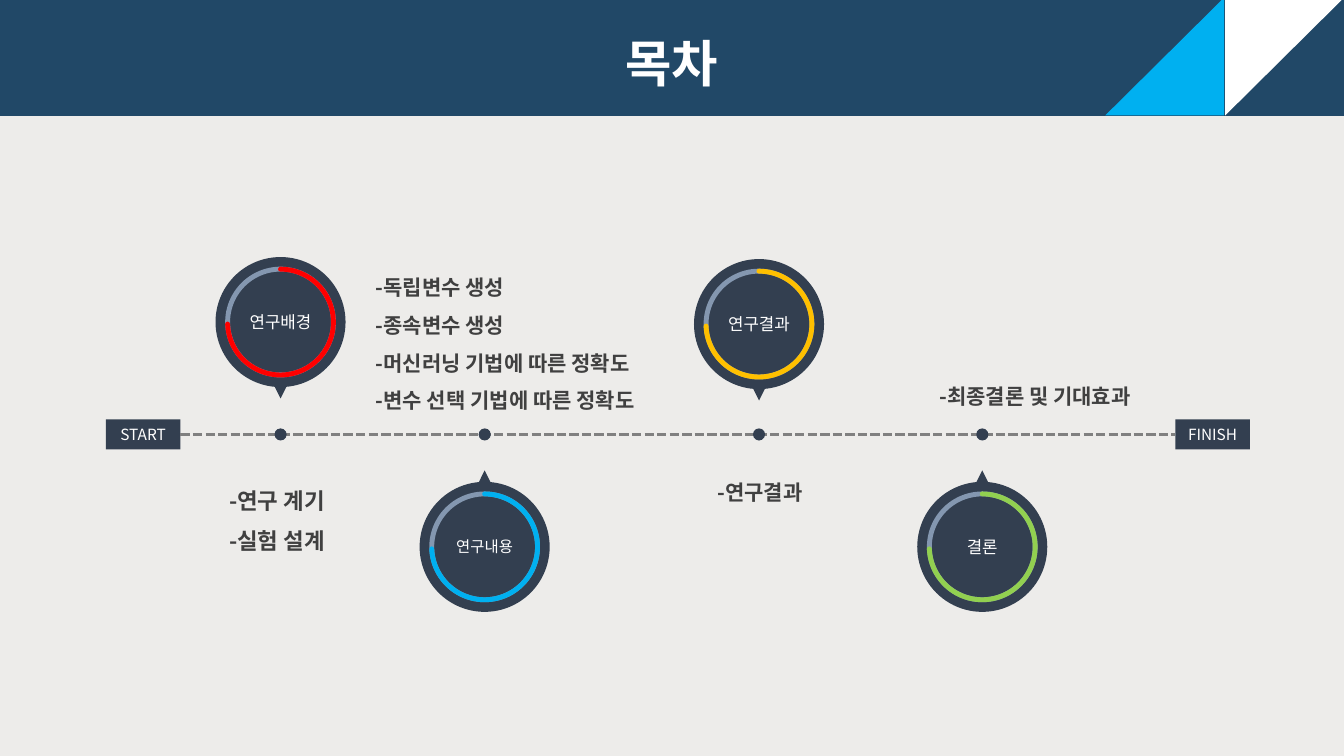
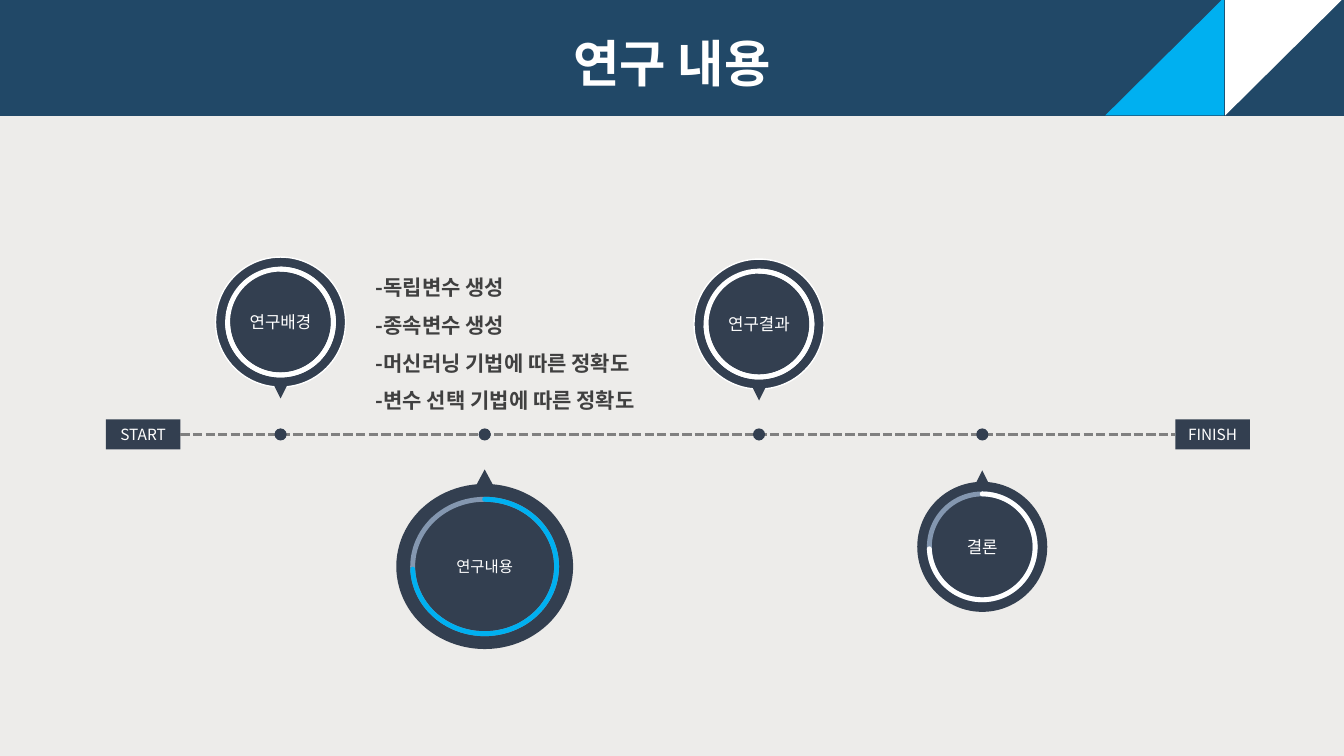
from dataclasses import dataclass

from lxml.etree import SubElement
from pptx import Presentation
from pptx.dml.color import RGBColor
from pptx.enum.dml import MSO_LINE
from pptx.enum.shapes import MSO_CONNECTOR, MSO_SHAPE
from pptx.enum.text import MSO_ANCHOR, MSO_AUTO_SIZE, PP_ALIGN
from pptx.oxml.ns import qn
from pptx.util import Inches, Pt


@dataclass(frozen=True)
class Theme:
    font: str = "Noto Sans CJK KR"
    page: str = "EDECEA"
    band: str = "214867"
    navy: str = "333F50"
    track: str = "8497B0"
    axis: str = "808080"
    ink: str = "404040"
    white: str = "FFFFFF"
    red: str = "FF0000"
    amber: str = "FFC000"
    blue: str = "00B0F0"
    green: str = "92D050"
    title: int = 36
    large: int = 16
    body: int = 15
    label: int = 12
    small: int = 11
    ring: float = 3.5


T = Theme()
prs = Presentation()
prs.slide_width, prs.slide_height = Inches(13.33), Inches(7.5)
COL, ROW = prs.slide_width / 160, prs.slide_height / 90


def draw(shapes, kind, x, y, w, h, fill=None, line=None, weight=1):
    sp = shapes.add_shape(kind, round(x * COL), round(y * ROW), round(w * COL), round(h * ROW))
    sp.shadow.inherit = False
    if fill:
        sp.fill.solid()
        sp.fill.fore_color.rgb = RGBColor.from_string(fill)
    else:
        sp.fill.background()
    if line:
        sp.line.color.rgb = RGBColor.from_string(line)
        sp.line.width = Pt(weight)
    else:
        sp.line.fill.background()
    return sp


def write(tf, text, size, color, bold=False, align=PP_ALIGN.CENTER, spacing=None):
    tf.text = text
    tf.word_wrap = True
    for p in tf.paragraphs:
        p.alignment = align
        p.line_spacing = spacing
        for r in p.runs:
            r.font.size = Pt(size)
            r.font.bold = bold
            r.font.name = T.font
            r.font.color.rgb = RGBColor.from_string(color)
            SubElement(r.font._element, qn("a:ea")).set("typeface", T.font)


AXIS_Y, TAG_W, TAG_H, DOT = 51.72, 8.88, 3.6, 1.44
BAND_Y, BAND_H, CORNER_W = -0.36, 14.16, 14.04
DISC, RING, TIP, TIP_OFFSET = 15.48, 12.6, 4.2, 7
UP, DOWN = -1, 1

stations = [
    ("연구배경", 33.4, 38.34, DOWN, T.label),
    ("연구결과", 90.36, 38.58, DOWN, T.label),
    ("연구내용", 57.7, 65.1, UP, T.small),
    ("결론", 116.94, 65.1, UP, T.label),
]
contents = (
    "-독립변수 생성\n-종속변수 생성\n-머신러닝 기법에 따른 정확도\n-변수 선택 기법에 따른 정확도",
    43.56, 30.6, 38.52, 19.44, T.body, PP_ALIGN.LEFT,
)
outline_notes = [
    contents,
    ("-연구 계기\n-실험 설계", 7.92, 55.8, 31.92, 10.92, T.large, PP_ALIGN.RIGHT),
    ("-연구결과", 84.24, 54.96, 31.92, 5.28, T.body, PP_ALIGN.LEFT),
    ("-최종결론 및 기대효과", 110.64, 43.56, 31.92, 5.28, T.body, PP_ALIGN.LEFT),
]
plain = (None, T.track)
muted = (T.white, T.white, T.white, 1, 1, 0)
outline_looks = [(*plain, color, 1, 1, 0) for color in (T.red, T.amber, T.blue, T.green)]
focus_looks = [muted, muted, (*plain, T.blue, 1.36, 1.27, 2.34), (*plain, T.white, 1, 1, 0)]
pages = [
    ("목차", outline_looks, outline_notes),
    ("연구 내용", focus_looks, [contents]),
]

for title, looks, notes in pages:
    s = prs.slides.add_slide(prs.slide_layouts[6])
    s.background.fill.solid()
    s.background.fill.fore_color.rgb = RGBColor.from_string(T.page)

    tags = []
    for text, x in (("START", 12.6), ("FINISH", 139.92)):
        sp = draw(s.shapes, MSO_SHAPE.RECTANGLE, x, AXIS_Y - TAG_H / 2, TAG_W, TAG_H, T.navy)
        sp.text_frame.margin_left = sp.text_frame.margin_right = 0
        write(sp.text_frame, text, T.small, T.white)
        tags.append(sp)
    axis = s.shapes.add_connector(MSO_CONNECTOR.STRAIGHT, 0, 0, 0, 0)
    axis.begin_connect(tags[0], 3)
    axis.end_connect(tags[1], 1)
    axis.line.color.rgb = RGBColor.from_string(T.axis)
    axis.line.width = Pt(2.25)
    axis.line.dash_style = MSO_LINE.SQUARE_DOT
    SubElement(axis._element.spPr, qn("a:effectLst"))

    for (label, cx, cy, side, size), (halo, track, color, kx, ky, shift) in zip(stations, looks):
        cy += shift
        group = s.shapes.add_group_shape().shapes
        disc_w, disc_h = DISC * kx, DISC * ky
        disc = draw(group, MSO_SHAPE.OVAL, cx - disc_w / 2, cy - disc_h / 2, disc_w, disc_h, T.navy, halo)
        disc.text_frame.margin_left = disc.text_frame.margin_right = 0
        write(disc.text_frame, label, size, T.white)
        tip_w, tip_h = TIP * kx, TIP * ky
        tip_y = cy + side * TIP_OFFSET * ky - tip_h / 2
        tip = draw(group, MSO_SHAPE.ISOSCELES_TRIANGLE, cx - tip_w / 2, tip_y, tip_w, tip_h, T.navy)
        tip.rotation = 180 if side == DOWN else 0
        ring_w, ring_h = RING * kx, RING * ky
        ring_box = (cx - ring_w / 2, cy - ring_h / 2, ring_w, ring_h)
        draw(group, MSO_SHAPE.OVAL, *ring_box, None, track, T.ring)
        arc = draw(group, MSO_SHAPE.ARC, *ring_box, None, color, T.ring)
        arc.adjustments[0], arc.adjustments[1] = 162, 106.73
        arc.line._get_or_add_ln().set("cap", "rnd")
        draw(s.shapes, MSO_SHAPE.OVAL, cx - DOT / 2, AXIS_Y - DOT / 2, DOT, DOT, T.navy)

    for text, x, y, w, h, size, align in notes:
        box = s.shapes.add_textbox(round(x * COL), round(y * ROW), round(w * COL), round(h * ROW))
        write(box.text_frame, text, size, T.ink, True, align, 1.5)
        box.text_frame.auto_size = MSO_AUTO_SIZE.SHAPE_TO_FIT_TEXT

    band = draw(s.shapes, MSO_SHAPE.RECTANGLE, 0, BAND_Y, 160, BAND_H, T.band)
    band.text_frame.vertical_anchor = MSO_ANCHOR.TOP
    write(band.text_frame, title, T.title, T.white, True, spacing=1.5)
    for x, angle, color in ((145.92, 90, T.white), (131.64, 270, T.blue)):
        corner = draw(s.shapes, MSO_SHAPE.RIGHT_TRIANGLE, x, BAND_Y, CORNER_W, BAND_H, color)
        corner.rotation = angle

prs.save("out.pptx")
